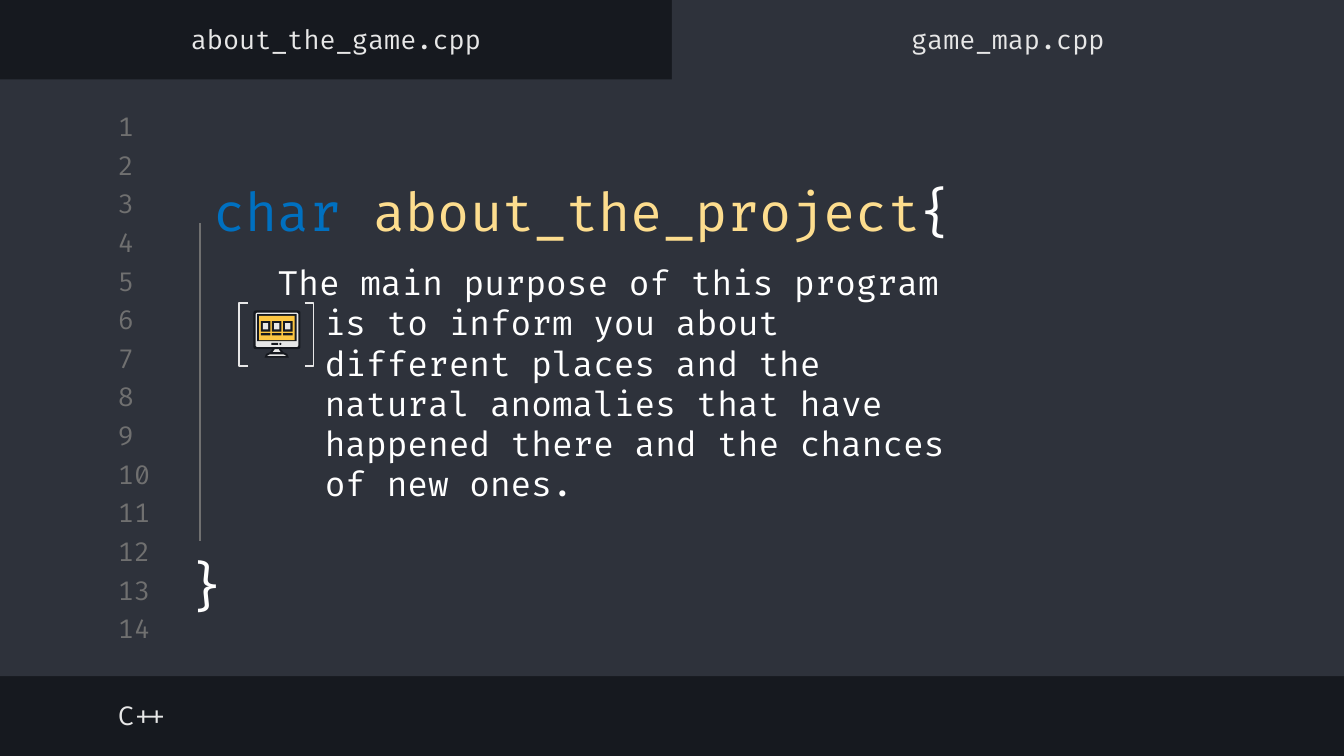
from lxml.etree import SubElement
from pptx import Presentation
from pptx.dml.color import RGBColor
from pptx.enum.shapes import MSO_CONNECTOR as CONN, MSO_SHAPE as SHAPE
from pptx.enum.text import MSO_ANCHOR as ANCHOR, PP_ALIGN as ALIGN
from pptx.oxml.ns import qn
from pptx.util import Cm, Pt

FONT = "Fira Code"
DARK, PANEL, GRAY, LIGHT = "16191F", "2E323B", "707070", "E7E7E7"
WHITE, BLUE, CREAM, YELLOW = "FFFFFF", "0070C0", "FDDD8E", "FCC642"

WIDTH, HEIGHT = 25.4, 14.29
TABS = ["about_the_game.cpp", "game_map.cpp"]
LANGUAGE = "C++"
LINE_COUNT, LINE_TOP, LINE_STEP = 14, 2.08, 0.73
TITLE = [("char ", BLUE), ("about_the_project", CREAM), ("{", WHITE)]
BODY = ("The main purpose of this program is to inform you about different places "
        "and the natural anomalies that have happened there and the chances of new ones.")

PANELS = [(0, 1.5, WIDTH, 11.28), (WIDTH / 2, 0, WIDTH / 2, 1.65)]
BRACKETS = [(SHAPE.LEFT_BRACKET, 4.52), (SHAPE.RIGHT_BRACKET, 5.76)]

# Monitor icon: stand profiles are (half width, y) pairs around the centre line
MONITOR_CENTER = 5.23
STAND = [
    (DARK, [(0.08, 6.55), (0.08, 6.6), (0.13, 6.66), (0.2, 6.69), (0.23, 6.76)]),
    (LIGHT, [(0.04, 6.55), (0.04, 6.61), (0.07, 6.65)]),
    (LIGHT, [(0.13, 6.7), (0.18, 6.73)]),
]
MONITOR = [
    (SHAPE.ROUNDED_RECTANGLE, DARK, (4.79, 5.87, 0.89, 0.73)),
    (SHAPE.ROUNDED_RECTANGLE, LIGHT, (4.83, 5.91, 0.81, 0.65)),
    (SHAPE.RECTANGLE, DARK, (4.86, 5.94, 0.75, 0.51)),
    (SHAPE.RECTANGLE, YELLOW, (4.9, 5.97, 0.67, 0.46)),
    (SHAPE.RECTANGLE, DARK, (5.13, 6.48, 0.13, 0.04)),
    (SHAPE.OVAL, DARK, (5.28, 6.48, 0.04, 0.04)),
]
WINDOW_COUNT, WINDOW_LEFT, WINDOW_STEP = 3, 4.93, 0.21
WINDOW = [
    (DARK, (0, 6.07, 0.18, 0.2)),
    (LIGHT, (0.04, 6.11, 0.1, 0.12)),
    (DARK, (0, 6.3, 0.18, 0.04)),
]

prs = Presentation()
prs.slide_width, prs.slide_height = Cm(WIDTH), Cm(HEIGHT)
s = prs.slides.add_slide(prs.slide_layouts[6])


def rgb(color):
    return RGBColor.from_string(color)


def paint(sp, color):
    """Give a shape a flat fill without outline or shadow."""
    sp.shadow.inherit = False
    sp.fill.solid()
    sp.fill.fore_color.rgb = rgb(color)
    sp.line.fill.background()


def add_block(box, color, kind=SHAPE.RECTANGLE):
    sp = s.shapes.add_shape(kind, *map(Cm, box))
    paint(sp, color)
    if kind == SHAPE.ROUNDED_RECTANGLE:
        sp.adjustments[0] = 0.06


def add_mirrored(profile, color, center):
    """Draw a polygon that is symmetric about a vertical centre line."""
    points = [(center + half, y) for half, y in profile]
    points += [(center - half, y) for half, y in reversed(profile)]
    (x, y), *rest = [(Cm(x), Cm(y)) for x, y in points]
    builder = s.shapes.build_freeform(x, y)
    builder.add_line_segments(rest, close=True)
    paint(builder.convert_to_shape(), color)


def add_text(text, box, color=LIGHT, size=14, align=ALIGN.LEFT,
             anchor=ANCHOR.MIDDLE, top=0.25, indent=0, hanging=0):
    """Add a text box; text is a string or a list of (string, colour) runs."""
    tf = s.shapes.add_textbox(*map(Cm, box)).text_frame
    tf.word_wrap = True
    tf.vertical_anchor = anchor
    tf.margin_left = tf.margin_right = tf.margin_bottom = Cm(0.25)
    tf.margin_top = Cm(top)
    p = tf.paragraphs[0]
    p.alignment = align
    if indent:
        pPr = p._p.get_or_add_pPr()
        pPr.set("marL", str(Cm(indent)))
        pPr.set("indent", str(-Cm(hanging)))
    for part, part_color in [(text, color)] if isinstance(text, str) else text:
        r = p.add_run()
        r.text = part
        r.font.name, r.font.size = FONT, Pt(size)
        r.font.color.rgb = rgb(part_color)


s.background.fill.solid()
s.background.fill.fore_color.rgb = rgb(DARK)
for box in PANELS:
    add_block(box, PANEL)
for i in range(LINE_COUNT):
    add_text(str(i + 1), (1.98, LINE_TOP + i * LINE_STEP, 1.2, 0.61), color=GRAY)

add_text(BODY, (4.62, 4.83, 13.89, 6.53), color=WHITE, size=18,
         anchor=ANCHOR.TOP, top=0.12, indent=1.27, hanging=0.89)
add_text(TITLE, (3.78, 3.25, 15.32, 1.47), size=28)

for profile_color, profile in STAND:
    add_mirrored(profile, profile_color, MONITOR_CENTER)
for kind, color, box in MONITOR:
    add_block(box, color, kind)
for i in range(WINDOW_COUNT):
    for color, (dx, y, w, h) in WINDOW:
        add_block((WINDOW_LEFT + i * WINDOW_STEP + dx, y, w, h), color)

add_text(LANGUAGE, (1.98, 13.03, 13.5, 0.99))
for i, tab in enumerate(TABS):
    add_text(tab, (i * WIDTH / 2, 0.25, WIDTH / 2, 0.99), align=ALIGN.CENTER)

for kind, left in BRACKETS:
    sp = s.shapes.add_shape(kind, Cm(left), Cm(5.73), Cm(0.17), Cm(1.19))
    sp.adjustments[0] = 0
    sp.shadow.inherit = False
    sp.fill.background()
    sp.line.color.rgb = rgb(LIGHT)
    sp.line.width = Pt(0.75)

guide = s.shapes.add_connector(CONN.STRAIGHT, Cm(3.78), Cm(4.22), Cm(3.78), Cm(10.23))
guide.line.color.rgb = rgb(GRAY)
guide.line.width = Pt(0.75)
SubElement(guide._element.spPr, qn("a:effectLst"))
add_text("}", (3.2, 10.21, 1.4, 1.55), color=WHITE, size=28,
         align=ALIGN.CENTER, anchor=ANCHOR.TOP)

prs.save("out.pptx")
